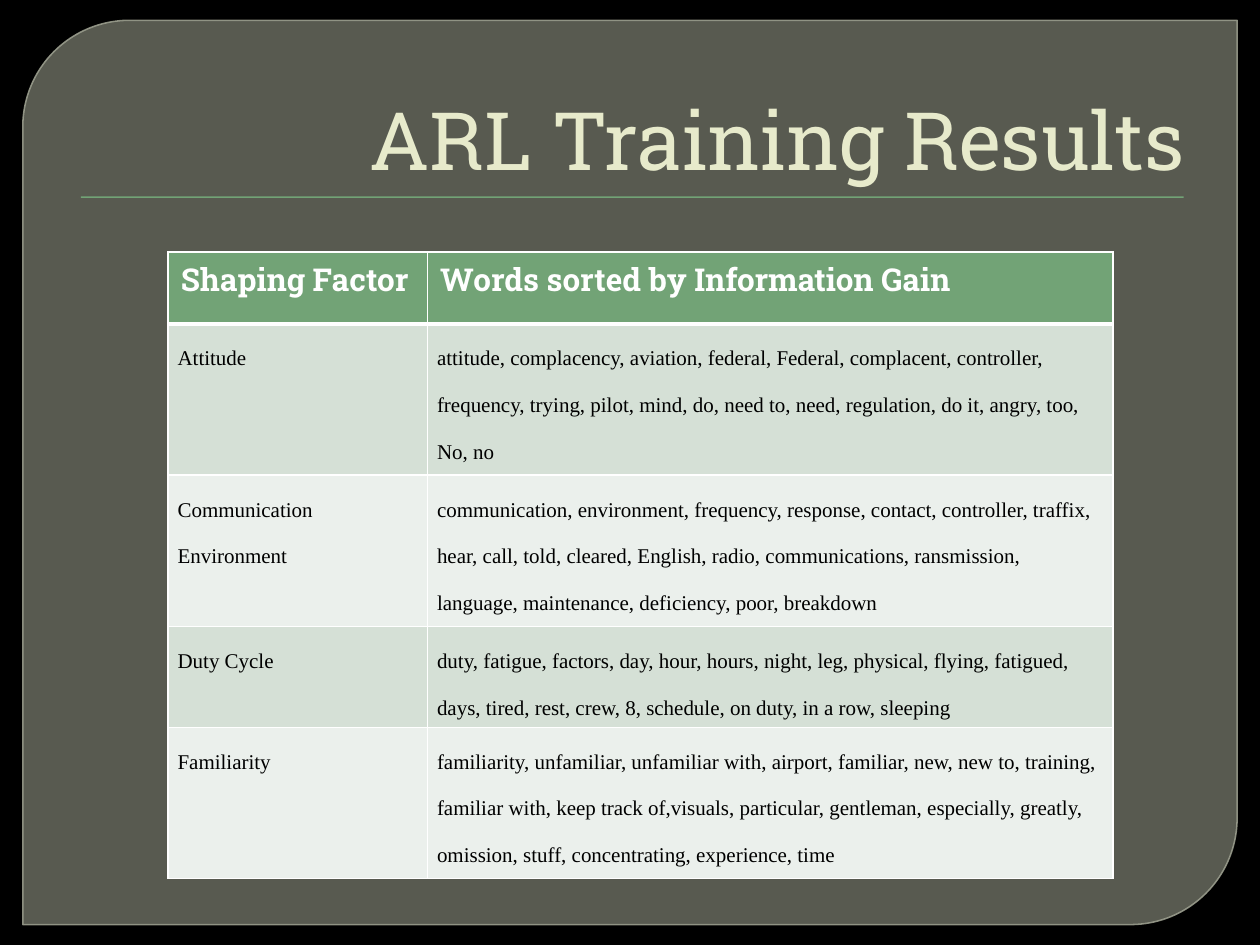
import lxml.etree
import pptx
import pptx.dml.color
import pptx.enum.shapes
import pptx.enum.text
import pptx.oxml
import pptx.oxml.ns
import pptx.util

Cm = pptx.util.Cm
Pt = pptx.util.Pt
qn = pptx.oxml.ns.qn
SHAPES = pptx.enum.shapes.MSO_SHAPE

HEADINGS = ("Shaping Factor", "Words sorted by Information Gain")
FACTORS = (
    ("Attitude",
     "attitude, complacency, aviation, federal, Federal, complacent, controller, "
     "frequency, trying, pilot, mind, do, need to, need, regulation, do it, angry, "
     "too, No, no"),
    ("Communication Environment",
     "communication, environment, frequency, response, contact, controller, traffix, "
     "hear, call, told, cleared, English, radio, communications, ransmission, "
     "language, maintenance, deficiency, poor, breakdown"),
    ("Duty Cycle",
     "duty, fatigue, factors, day, hour, hours, night, leg, physical, flying, "
     "fatigued, days, tired, rest, crew, 8, schedule, on duty, in a row, sleeping"),
    ("Familiarity",
     "familiarity, unfamiliar, unfamiliar with, airport, familiar, new, new to, "
     "training, familiar with, keep track of,visuals, particular, gentleman, "
     "especially, greatly, omission, stuff, concentrating, experience, time"),
)


def colour(value):
    """Turn a hex string into a colour."""
    return pptx.dml.color.RGBColor.from_string(value)


def set_alpha(format_, percent):
    """Make the solid fill of a shape or line partly transparent."""
    solid = format_._xPr.find(qn("a:solidFill"))
    alpha = lxml.etree.SubElement(solid[0], qn("a:alpha"))
    alpha.set("val", str(percent * 1000))


def style_text(para, font, size, value, bold=False):
    """Format every run of a paragraph."""
    for span in para.runs:
        span.font.name = font
        span.font.size = Pt(size)
        span.font.bold = bold
        span.font.color.rgb = colour(value)


def add_block(page, kind, box, fill):
    """Add a preset shape with a plain fill and no shadow."""
    shape = page.shapes.add_shape(kind, *map(Cm, box))
    shape.shadow.inherit = False
    shape.fill.solid()
    shape.fill.fore_color.rgb = colour(fill)
    return shape


def add_frame(page, box):
    """Draw the translucent panel with two opposite round corners."""
    panel = add_block(page, SHAPES.ROUND_2_DIAG_RECTANGLE, box, "888B7B")
    panel.adjustments[0] = 0.118
    panel.adjustments[1] = 0
    panel.line.color.rgb = colour("9DA090")
    panel.line.width = Pt(0.87)
    set_alpha(panel.fill, 65)
    set_alpha(panel.line.fill, 88)


def add_heading(page, box):
    """Place the title in the box and the thin rule under it."""
    left, top, width, height = box
    rule_box = (left + 0.36, top + height + 0.07, width - 0.63, 0.03)
    rule = add_block(page, SHAPES.RECTANGLE, rule_box, "72A376")
    rule.line.fill.background()
    title = page.shapes.add_textbox(*map(Cm, box))
    frame = title.text_frame
    frame.word_wrap = True
    frame.vertical_anchor = pptx.enum.text.MSO_ANCHOR.BOTTOM
    frame.text = "ARL Training Results"
    para = frame.paragraphs[0]
    para.alignment = pptx.enum.text.PP_ALIGN.RIGHT
    style_text(para, "Roboto Slab", 46, "E7EACB")


def set_borders(cell, top, bottom):
    """Give a cell white borders, with its own top and bottom widths."""
    properties = cell._tc.get_or_add_tcPr()
    for side, width in (("L", 1), ("R", 1), ("T", top), ("B", bottom)):
        edge = lxml.etree.SubElement(properties, qn("a:ln" + side))
        edge.set("w", str(Pt(width)))
        solid = lxml.etree.SubElement(edge, qn("a:solidFill"))
        lxml.etree.SubElement(solid, qn("a:srgbClr")).set("val", "FFFFFF")


def fill_cell(cell, row, text):
    """Write and style one cell as a heading or as a banded body cell."""
    set_borders(cell, 3 if row == 1 else 1, 3 if row == 0 else 1)
    cell.text = text
    para = cell.text_frame.paragraphs[0]
    cell.fill.solid()
    if row == 0:
        cell.fill.fore_color.rgb = colour("72A376")
        style_text(para, "Roboto Slab", 18, "FFFFFF", True)
        return
    cell.fill.fore_color.rgb = colour("D5E0D6" if row % 2 else "EBF0EC")
    cell.margin_left = cell.margin_right = Cm(0.19)
    cell.margin_top = cell.margin_bottom = 0
    para.line_spacing = 2.0
    style_text(para, "Times New Roman", 12, "000000")


def add_word_table(page, box):
    """Build the table of shaping factors and their words."""
    left, top, width, row_height = box
    rows = (HEADINGS,) + FACTORS
    table = page.shapes.add_table(
        len(rows), len(HEADINGS), Cm(left), Cm(top), Cm(width),
        Cm(row_height * len(rows))).table
    factor_width = 5.23
    table.columns[0].width = Cm(factor_width)
    table.columns[1].width = Cm(width - factor_width)
    for row, texts in enumerate(rows):
        for column, text in enumerate(texts):
            fill_cell(table.cell(row, column), row, text)


def main():
    """Build the deck and save it."""
    deck = pptx.Presentation()
    deck.slide_width = Cm(25.4)
    deck.slide_height = Cm(19.05)
    page = deck.slides.add_slide(deck.slide_layouts[6])
    page.background.fill.solid()
    page.background.fill.fore_color.rgb = colour("000000")
    add_frame(page, (0.46, 0.41, 24.48, 18.23))
    add_heading(page, (1.27, 0.71, 22.86, 3.18))
    add_word_table(page, (3.39, 5.08, 19.05, 1.45))
    deck.save("out.pptx")


if __name__ == "__main__":
    main()
